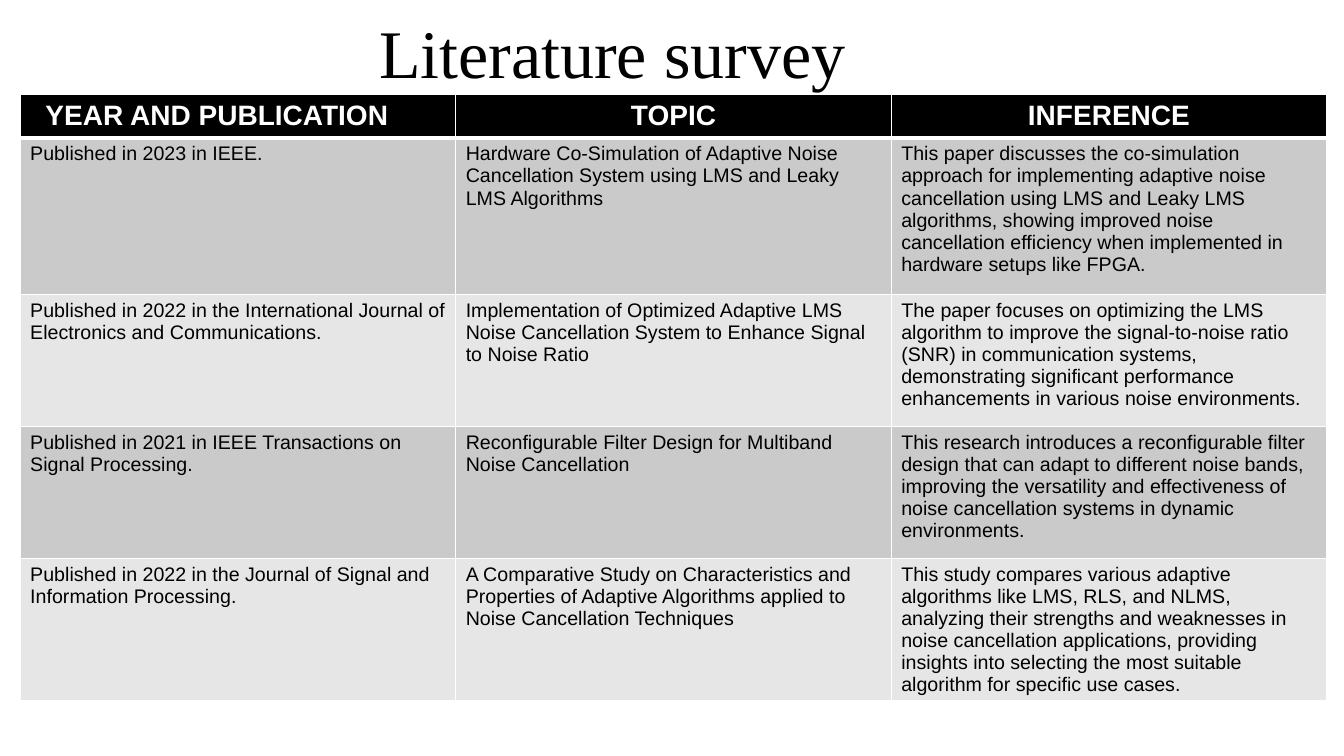
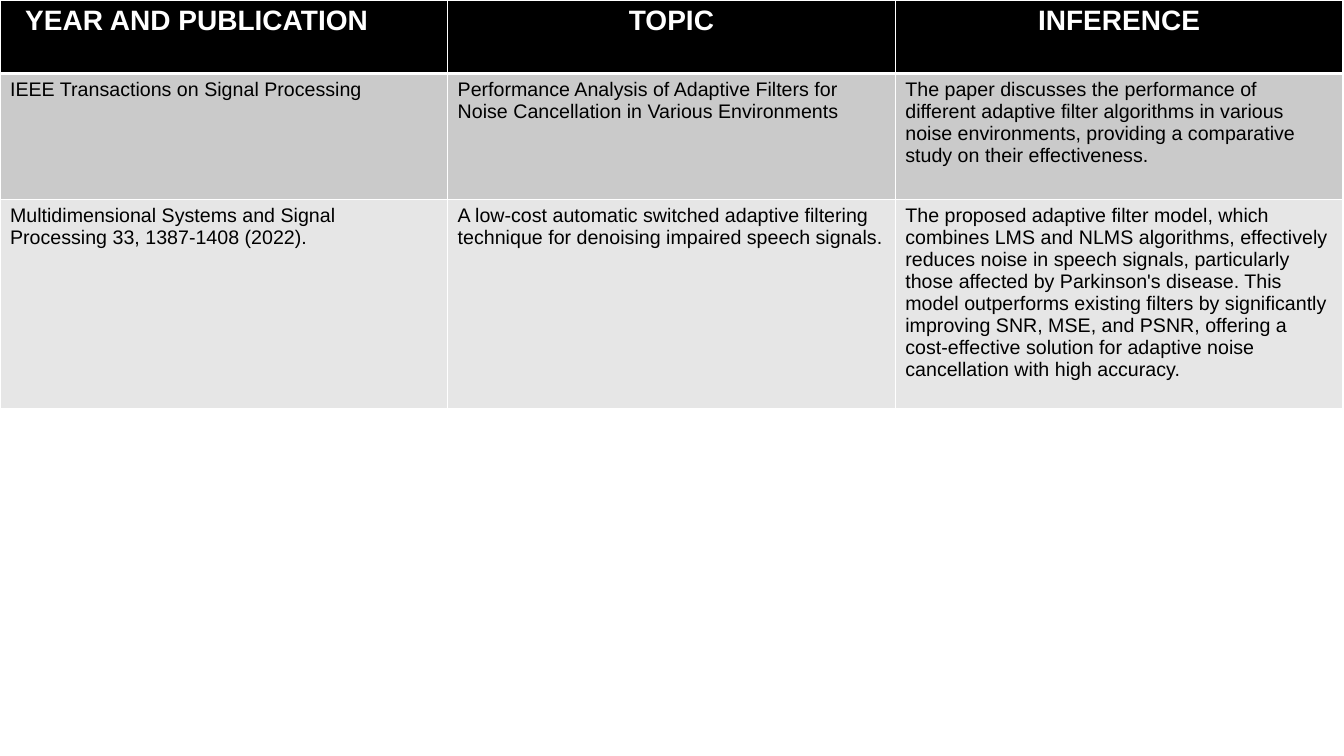
from lxml.etree import SubElement
from pptx import Presentation
from pptx.dml.color import RGBColor
from pptx.enum.text import MSO_ANCHOR, PP_ALIGN
from pptx.oxml.ns import qn
from pptx.util import Inches, Pt

BLACK = RGBColor(0x00, 0x00, 0x00)
WHITE = RGBColor(0xFF, 0xFF, 0xFF)
DARK_BAND = RGBColor(0xCA, 0xCA, 0xCA)
LIGHT_BAND = RGBColor(0xE6, 0xE6, 0xE6)
HEADER = ["YEAR AND PUBLICATION", "TOPIC", "INFERENCE"]


def add_run(p, text, font, size, color, bold=False):
    r = p.add_run()
    r.text = text
    r.font.name = font
    r.font.size = Pt(size)
    r.font.bold = bold
    r.font.color.rgb = color


def set_border(cell, side, width):
    ln = SubElement(cell._tc.get_or_add_tcPr(), qn(f"a:ln{side}"), w=str(Pt(width)))
    fill = SubElement(ln, qn("a:solidFill"))
    SubElement(fill, qn("a:srgbClr"), val=str(WHITE))


prs = Presentation()
prs.slide_width = Inches(13.33)
prs.slide_height = Inches(7.5)

surveys = [
    {
        "title": "Literature survey",
        "at": (0.2, 0.94),
        "col": 4.32,
        "heights": [0.43, 1.55, 1.31, 1.31, 1.41],
        "papers": [
            ["Published in 2023 in IEEE.",
             "Hardware Co-Simulation of Adaptive Noise Cancellation System using LMS "
             "and Leaky LMS Algorithms",
             "This paper discusses the co-simulation approach for implementing adaptive "
             "noise cancellation using LMS and Leaky LMS algorithms, showing improved "
             "noise cancellation efficiency when implemented in hardware setups like FPGA."],
            ["Published in 2022 in the International Journal of Electronics and "
             "Communications.",
             "Implementation of Optimized Adaptive LMS Noise Cancellation System to "
             "Enhance Signal to Noise Ratio",
             "The paper focuses on optimizing the LMS algorithm to improve the "
             "signal-to-noise ratio (SNR) in communication systems, demonstrating "
             "significant performance enhancements in various noise environments."],
            ["Published in 2021 in IEEE Transactions on Signal Processing.",
             "Reconfigurable Filter Design for Multiband Noise Cancellation",
             "This research introduces a reconfigurable filter design that can adapt to "
             "different noise bands, improving the versatility and effectiveness of "
             "noise cancellation systems in dynamic environments."],
            ["Published in 2022 in the Journal of Signal and Information Processing.",
             "A Comparative Study on Characteristics and Properties of Adaptive "
             "Algorithms applied to Noise Cancellation Techniques",
             "This study compares various adaptive algorithms like LMS, RLS, and NLMS, "
             "analyzing their strengths and weaknesses in noise cancellation "
             "applications, providing insights into selecting the most suitable "
             "algorithm for specific use cases."],
        ],
    },
    {
        "title": None,
        "at": (0, 0),
        "col": 4.44,
        "heights": [0.73, 1.25, 2.07],
        "papers": [
            ["IEEE Transactions on Signal Processing",
             "Performance Analysis of Adaptive Filters for Noise Cancellation in "
             "Various Environments",
             "The paper discusses the performance of different adaptive filter "
             "algorithms in various noise environments, providing a comparative study "
             "on their effectiveness."],
            ["Multidimensional Systems and Signal Processing 33, 1387-1408 (2022).",
             "A low-cost automatic switched adaptive filtering technique for denoising "
             "impaired speech signals.",
             "The proposed adaptive filter model, which combines LMS and NLMS "
             "algorithms, effectively reduces noise in speech signals, particularly "
             "those affected by Parkinson's disease. This model outperforms existing "
             "filters by significantly improving SNR, MSE, and PSNR, offering a "
             "cost-effective solution for adaptive noise cancellation with high accuracy."],
        ],
    },
]

for survey in surveys:
    s = prs.slides.add_slide(prs.slide_layouts[6])
    left, top = survey["at"]
    heights = survey["heights"]
    rows = [HEADER] + survey["papers"]
    tbl = s.shapes.add_table(
        len(rows), len(HEADER), Inches(left), Inches(top),
        Inches(survey["col"] * len(HEADER)), Inches(sum(heights))).table
    for col in tbl.columns:
        col.width = Inches(survey["col"])

    for i, (texts, height) in enumerate(zip(rows, heights)):
        tbl.rows[i].height = Inches(height)
        for j, text in enumerate(texts):
            cell = tbl.cell(i, j)
            borders = {"L": 1, "R": 1, "T": 3 if i == 1 else 1, "B": 3 if i == 0 else 1}
            for side, width in borders.items():
                set_border(cell, side, width)
            cell.fill.solid()
            p = cell.text_frame.paragraphs[0]
            if i == 0:
                cell.fill.fore_color.rgb = BLACK
                add_run(p, text, "Arial", 20, WHITE, bold=True)
                if j == 0:
                    cell.margin_left = Inches(0.25)
                else:
                    p.alignment = PP_ALIGN.CENTER
            else:
                cell.fill.fore_color.rgb = DARK_BAND if i % 2 else LIGHT_BAND
                add_run(p, text, "Arial", 14, BLACK)

    if survey["title"]:
        sp = s.shapes.add_textbox(Inches(0.83), Inches(0.4), Inches(10.49), Inches(0.32))
        tf = sp.text_frame
        tf.word_wrap = True
        tf.vertical_anchor = MSO_ANCHOR.MIDDLE
        p = tf.paragraphs[0]
        p.alignment = PP_ALIGN.CENTER
        p.line_spacing = 0.9
        add_run(p, survey["title"], "Times New Roman", 48.6, BLACK)

prs.save("out.pptx")
